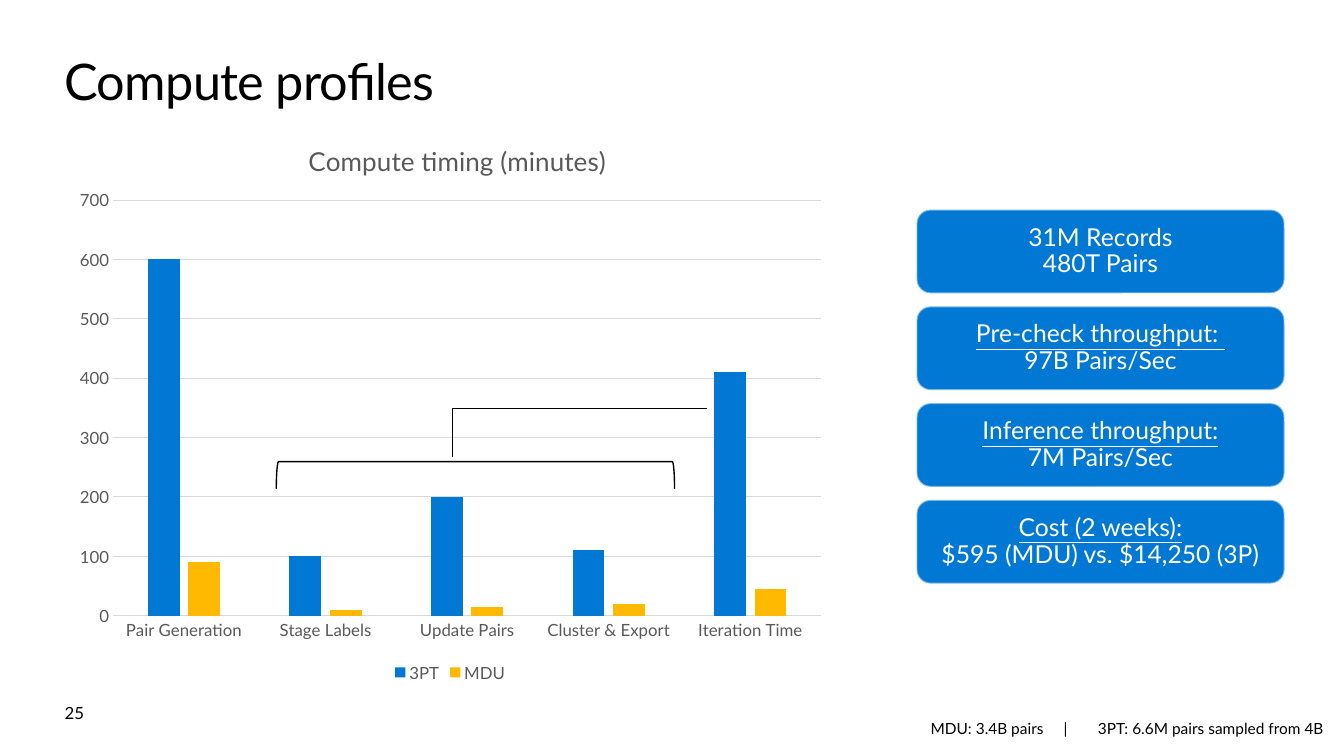
from dataclasses import dataclass

import lxml.etree
import pptx
import pptx.chart.data
import pptx.dml.color
import pptx.enum.chart
import pptx.enum.shapes
import pptx.enum.text
import pptx.oxml
import pptx.oxml.ns
import pptx.util

Inches, Pt = pptx.util.Inches, pptx.util.Pt
RGBColor = pptx.dml.color.RGBColor
Align = pptx.enum.text.PP_ALIGN
Anchor = pptx.enum.text.MSO_ANCHOR
Shapes = pptx.enum.shapes.MSO_SHAPE
qn = pptx.oxml.ns.qn

BLACK = RGBColor(0x00, 0x00, 0x00)
WHITE = RGBColor(0xFF, 0xFF, 0xFF)
BLUE = RGBColor(0x00, 0x78, 0xD4)
GOLD = RGBColor(0xFF, 0xB9, 0x00)
GRAY = RGBColor(0x59, 0x59, 0x59)
GRID = RGBColor(0xD9, 0xD9, 0xD9)
EDGE = RGBColor(0xF9, 0xF9, 0xF9)
FONT = "Lato"


@dataclass
class Fact:
    heading: str
    detail: str
    underlined: bool = True


FACTS = [
    Fact("31M Records", "480T Pairs", underlined=False),
    Fact("Pre-check throughput: ", "97B Pairs/Sec"),
    Fact("Inference throughput:", "7M Pairs/Sec"),
    Fact("Cost (2 weeks):", "$595 (MDU) vs. $14,250 (3P)"),
]
STEPS = ["Pair Generation", "Stage Labels", "Update Pairs", "Cluster & Export", "Iteration Time"]
TIMINGS = [
    ("3PT", [600, 100, 200, 110, 410], BLUE),
    ("MDU", [90, 10, 15, 20, 45], GOLD),
]


def style_font(font, size: float, color: RGBColor) -> None:
    font.name, font.size, font.bold = FONT, Pt(size), False
    font.color.rgb = color


def write_text(shape, *lines: str, size: float, color: RGBColor = BLACK, align=Align.LEFT,
               anchor=Anchor.TOP, margins: tuple[float, float] = (0, 0),
               line_spacing: float = 1.0, underline_first: bool = False,
               letter_spacing: float = 0, tab_stops: tuple[float, ...] = ()) -> None:
    frame = shape.text_frame
    frame.word_wrap = True
    frame.vertical_anchor = anchor
    frame.margin_left = frame.margin_right = Inches(margins[0])
    frame.margin_top = frame.margin_bottom = Inches(margins[1])
    for index, line in enumerate(lines):
        paragraph = frame.add_paragraph() if index else frame.paragraphs[0]
        paragraph.alignment, paragraph.line_spacing = align, line_spacing
        run = paragraph.add_run()
        run.text = line
        style_font(run.font, size, color)
        run.font.underline = underline_first and index == 0
        if letter_spacing:
            run.font._element.set("spc", str(round(letter_spacing * 100)))
        if tab_stops:
            stops = lxml.etree.SubElement(paragraph._p.get_or_add_pPr(), qn("a:tabLst"))
            for stop in tab_stops:
                lxml.etree.SubElement(stops, qn("a:tab"), pos=str(Inches(stop)), algn="l")


def add_label(slide, box: tuple[float, ...], text: str, **text_format) -> None:
    write_text(slide.shapes.add_textbox(*map(Inches, box)), text, **text_format)


def add_fact(slide, fact: Fact, top: float) -> None:
    card = slide.shapes.add_shape(Shapes.ROUNDED_RECTANGLE, Inches(9.09), Inches(top),
                                  Inches(3.65), Inches(0.83))
    card.shadow.inherit = False
    card.fill.solid()
    card.fill.fore_color.rgb = BLUE
    card.line.color.rgb = EDGE
    card.line.width = Pt(1.35)
    edge_color = card.line._ln.find(".//" + qn("a:srgbClr"))
    lxml.etree.SubElement(edge_color, qn("a:alpha"), val="50000")
    write_text(card, fact.heading, fact.detail, size=17.6, color=WHITE, align=Align.CENTER,
               anchor=Anchor.MIDDLE, margins=(0.2, 0.16), line_spacing=0.9,
               underline_first=fact.underlined)


def set_layout(parent, **fractions: float) -> None:
    """Place a chart title or plot area by fractions of the chart."""
    for old in parent.findall(qn("c:layout")):
        parent.remove(old)
    layout = lxml.etree.Element(qn("c:layout"))
    manual = lxml.etree.SubElement(layout, qn("c:manualLayout"))
    if "w" in fractions:
        lxml.etree.SubElement(manual, qn("c:layoutTarget"), val="inner")
    for side in ("x", "y"):
        lxml.etree.SubElement(manual, qn(f"c:{side}Mode"), val="edge")
    for side, value in fractions.items():
        lxml.etree.SubElement(manual, qn(f"c:{side}"), val=str(value))
    text = parent.find(qn("c:tx"))
    parent.insert(0 if text is None else 1, layout)


def add_timing_chart(slide) -> None:
    timing_data = pptx.chart.data.CategoryChartData()
    timing_data.categories = STEPS
    for name, minutes, _ in TIMINGS:
        timing_data.add_series(name, minutes)
    chart = slide.shapes.add_chart(
        pptx.enum.chart.XL_CHART_TYPE.COLUMN_CLUSTERED,
        Inches(0.64), Inches(1.14), Inches(7.65), Inches(5.67), timing_data).chart
    style_font(chart.font, 12, GRAY)

    chart.has_title = True
    heading = chart.chart_title.text_frame.paragraphs[0].add_run()
    heading.text = "Compute timing (minutes)"
    style_font(heading.font, 18.6, GRAY)
    chart.chart_title.include_in_layout = False
    set_layout(chart.chart_title._element, x=0.31, y=0.04)
    set_layout(chart._chartSpace.chart.plotArea, x=0.063, y=0.149, w=0.918, h=0.727)

    chart.has_legend = True
    chart.legend.position = pptx.enum.chart.XL_LEGEND_POSITION.BOTTOM
    chart.legend.include_in_layout = False
    style_font(chart.legend.font, 12, GRAY)

    for axis in (chart.category_axis, chart.value_axis):
        axis.major_tick_mark = axis.minor_tick_mark = pptx.enum.chart.XL_TICK_MARK.NONE
        style_font(axis.tick_labels.font, 12, GRAY)
    minutes_axis = chart.value_axis
    minutes_axis.minimum_scale, minutes_axis.maximum_scale = 0, 700
    minutes_axis.major_unit = 100
    minutes_axis.format.line.fill.background()
    for line in (chart.category_axis.format.line, minutes_axis.major_gridlines.format.line):
        line.color.rgb = GRID
        line.width = Pt(0.75)

    plot = chart.plots[0]
    plot.gap_width, plot.overlap, plot.vary_by_categories = 219, -27, False
    for series, (_, _, color) in zip(plot.series, TIMINGS):
        series.format.fill.solid()
        series.format.fill.fore_color.rgb = color


def add_iteration_bracket(slide) -> None:
    bracket = slide.shapes.add_shape(Shapes.LEFT_BRACKET, Inches(4.58), Inches(2.74),
                                     Inches(0.27), Inches(3.95))
    bracket.rotation = 90
    bracket.shadow.inherit = False
    bracket.fill.background()
    bracket.line.color.rgb = BLACK
    bracket.line.width = Pt(1)

    link = slide.shapes.add_connector(pptx.enum.shapes.MSO_CONNECTOR.ELBOW, Inches(4.48),
                                      Inches(4.53), Inches(7.01), Inches(4.05))
    link.line.color.rgb = BLACK
    link.line.width = Pt(0.75)
    properties = link._element.spPr
    lxml.etree.SubElement(properties, qn("a:effectLst"))
    bends = properties.find(qn("a:prstGeom")).get_or_add_avLst()
    lxml.etree.SubElement(bends, qn("a:gd"), name="adj1", fmla="val 200")


presentation = pptx.Presentation()
presentation.slide_width, presentation.slide_height = Inches(13.33), Inches(7.5)
slide = presentation.slides.add_slide(presentation.slide_layouts[6])

# Title and page number
add_label(slide, (0.64, 0.5, 12.05, 0.61), "Compute profiles", size=36, letter_spacing=-0.5)
add_label(slide, (0.64, 6.97, 1.92, 0.2), "25", size=12)

# Timing chart with the steps that make up an iteration
add_timing_chart(slide)
add_iteration_bracket(slide)

# Key facts
for row, fact in enumerate(FACTS):
    add_fact(slide, fact, top=2.08 + 0.96 * row)

# Footnote
add_label(slide, (9.03, 6.99, 4.3, 0.5), "MDU: 3.4B pairs\t|\t3PT: 6.6M pairs sampled from 4B",
          size=11, margins=(0.2, 0.16), line_spacing=0.9, tab_stops=(1.32, 1.66))

presentation.save("out.pptx")
